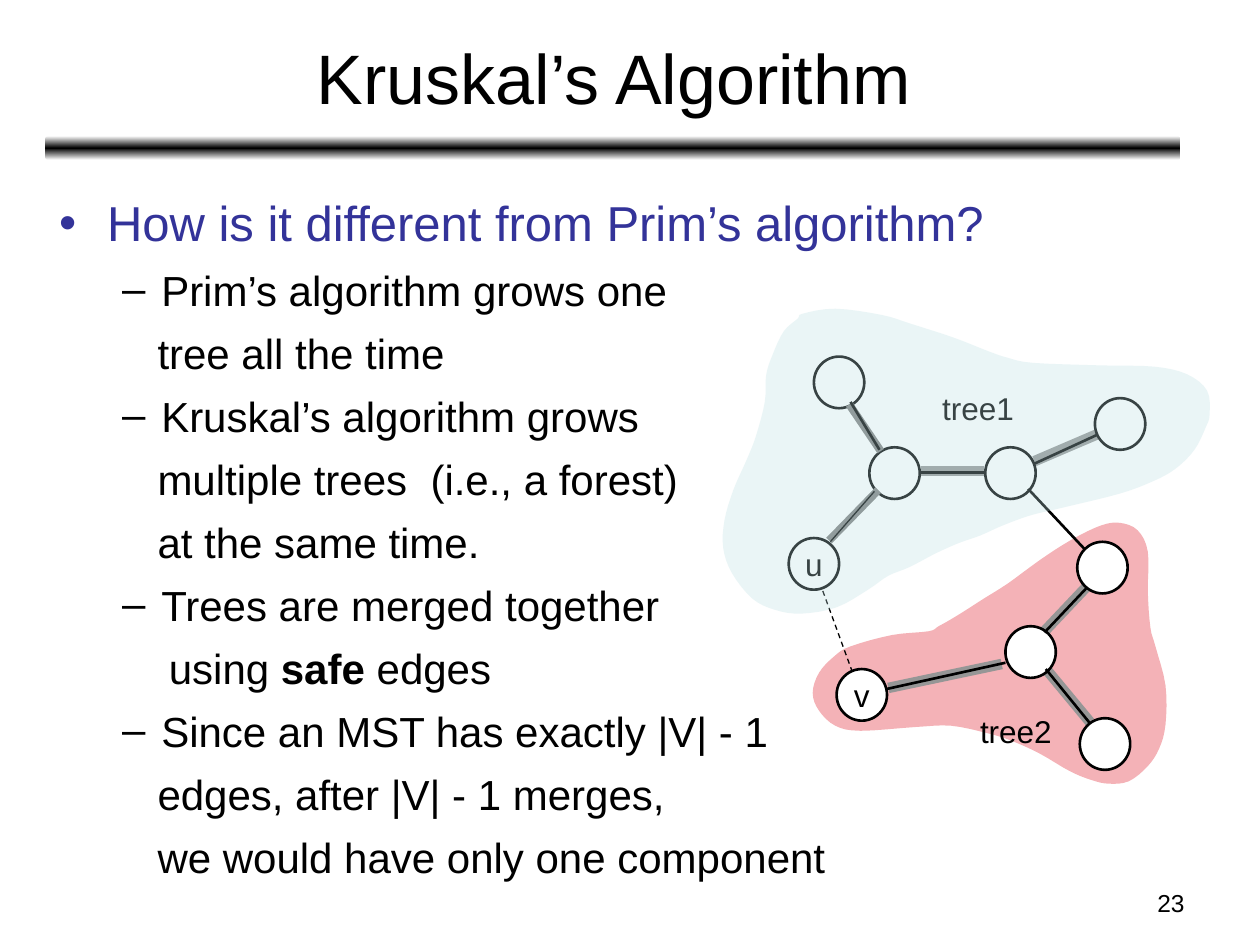
from copy import deepcopy

from lxml.etree import SubElement
from pptx import Presentation
from pptx.dml.color import RGBColor
from pptx.enum.dml import MSO_LINE_DASH_STYLE as Dash
from pptx.enum.shapes import MSO_CONNECTOR_TYPE as Connector, MSO_SHAPE as Shape
from pptx.enum.text import MSO_ANCHOR as Anchor, MSO_AUTO_SIZE as AutoSize, PP_ALIGN as Align
from pptx.oxml.ns import qn
from pptx.util import Cm, Pt

COLORS = {
    "white": "FFFFFF", "black": "000000", "heading": "333399",
    "light_gray": "969696", "gray": "808080", "tree1": "BBE0E3", "tree2": "DD0111",
}
NODE_SIZE = (0.4, 0.41)

# Body lines: text, left indent, has a bullet
LINES = [
    ("Prim’s algorithm grows one", 0.81, True),
    ("tree all the time", 0.78, False),
    ("Kruskal’s algorithm grows", 0.81, True),
    ("multiple trees  (i.e., a forest)", 0.78, False),
    ("at the same time.", 0.78, False),
    ("Trees are merged together", 0.81, True),
    ("using *safe* edges", 0.87, False),
    ("Since an MST has exactly |V| - 1", 0.81, True),
    ("edges, after |V| - 1 merges,", 0.78, False),
    ("we would have only one component", 0.78, False),
]

# Top left corner and label of each node
NODES = [
    (6.26, 4.27, "u"), (6.9, 3.55, ""), (7.82, 3.55, ""), (8.69, 3.16, ""), (8.55, 4.3, ""),
    (6.46, 2.83, ""), (7.98, 4.97, ""), (8.57, 5.7, ""), (6.64, 5.31, "v"),
]

# Edges: start x, start y, end x, end y
WIDE_EDGES = [
    (7.31, 3.74, 7.81, 3.74), (8.21, 3.66, 8.7, 3.45), (7.05, 5.46, 7.95, 5.27),
    (8.29, 5.01, 8.64, 4.64), (8.31, 5.32, 8.65, 5.73),
]
MEDIUM_EDGES = [(6.58, 4.29, 6.97, 3.89), (6.74, 3.21, 6.99, 3.58)]
THIN_EDGES = [
    (7.3, 3.75, 7.82, 3.75), (8.21, 3.68, 8.71, 3.45), (8.16, 3.88, 8.61, 4.36),
    (7.03, 5.47, 7.98, 5.26), (8.29, 5.02, 8.63, 4.66), (8.3, 5.31, 8.65, 5.74),
    (6.75, 3.19, 6.98, 3.57),
]

TREE1_OUTLINE = [
    (6.33, 2.53), (6.22, 2.63), (6.13, 2.82), (6.08, 2.98), (6.07, 3.19), (6, 3.46),
    (5.93, 3.64), (5.82, 3.89), (5.75, 4.13), (5.74, 4.35), (5.81, 4.55), (5.97, 4.75),
    (6.15, 4.84), (6.36, 4.87), (6.64, 4.82), (6.89, 4.68), (7.05, 4.57), (7.22, 4.5),
    (7.43, 4.39), (7.61, 4.31), (7.78, 4.25), (7.96, 4.17), (8.18, 4.09), (8.43, 4.03),
    (8.88, 3.92), (9.15, 3.82), (9.33, 3.72), (9.48, 3.57), (9.57, 3.39), (9.6, 3.29),
    (9.58, 3.1), (9.42, 2.97), (9.16, 2.91), (8.74, 2.9), (8.2, 2.88), (8, 2.84),
    (7.85, 2.79), (7.57, 2.68), (7.23, 2.57), (7, 2.5), (6.63, 2.45), (6.37, 2.49),
]
TREE2_OUTLINE = [
    (7.37, 5.01), (7.08, 5.04), (6.75, 5.13), (6.62, 5.21), (6.5, 5.34), (6.45, 5.5),
    (6.5, 5.64), (6.63, 5.76), (6.83, 5.8), (7.27, 5.77), (7.55, 5.76), (7.84, 5.82),
    (8.03, 5.88), (8.25, 5.98), (8.49, 6.12), (8.66, 6.19), (8.8, 6.22), (8.96, 6.2),
    (9.11, 6.08), (9.2, 5.94), (9.25, 5.75), (9.25, 5.44), (9.17, 5.13), (9.13, 4.98),
    (9.11, 4.7), (9.11, 4.38), (9.03, 4.21), (8.89, 4.15), (8.74, 4.17), (8.51, 4.28),
    (8.26, 4.44), (8, 4.63), (7.81, 4.75), (7.59, 4.89), (7.45, 4.97),
]


def length(inches):
    return Cm(inches * 2.54)


def color(name):
    return RGBColor.from_string(COLORS[name])


def smooth_outline(points, steps=4):
    """Closed Catmull-Rom curve through the points."""
    def blend(a, b, c, d, t):
        return (2 * b + (c - a) * t + (2 * a - 5 * b + 4 * c - d) * t ** 2
                + (3 * b - a - 3 * c + d) * t ** 3) / 2

    count = len(points)
    curve = []
    for index in range(count):
        near = [points[(index + offset) % count] for offset in (-1, 0, 1, 2)]
        for step in range(steps):
            curve.append(tuple(length(blend(*axis, step / steps)) for axis in zip(*near)))
    return curve


class SlideWriter:
    font = "Arial"

    def __init__(self, slide):
        self.slide = slide

    def place(self, shape, box):
        shape.left, shape.top, shape.width, shape.height = map(length, box)

    def style(self, paragraph, size, name="black", align=Align.LEFT):
        paragraph.alignment = align
        for run in paragraph.runs:
            run.font.name, run.font.size = self.font, Pt(size)
            run.font.color.rgb = color(name)

    def title(self, text, box):
        shape = self.slide.shapes.title
        self.place(shape, box)
        shape.text_frame.text = text
        shape.text_frame.auto_size = AutoSize.NONE
        shape.text_frame.vertical_anchor = Anchor.MIDDLE
        self.style(shape.text_frame.paragraphs[0], 40, align=Align.CENTER)

    def indent(self, paragraph, left, hanging, bullet, name):
        properties = paragraph._p.get_or_add_pPr()
        properties.set("marL", str(length(left)))
        properties.set("indent", str(-length(hanging)))
        if not bullet:
            SubElement(properties, qn("a:buNone"))
            return
        bullet_color = SubElement(properties, qn("a:buClr"))
        SubElement(bullet_color, qn("a:srgbClr"), val=COLORS[name])
        SubElement(properties, qn("a:buFont"), typeface=self.font)
        SubElement(properties, qn("a:buChar"), char=bullet)

    def body(self, heading, lines, box):
        shape = self.slide.placeholders[1]
        self.place(shape, box)
        frame = shape.text_frame
        frame.text = heading
        frame.auto_size = AutoSize.NONE
        first = frame.paragraphs[0]
        first.space_before = Pt(8.4)
        self.indent(first, 0.38, 0.38, "•", "heading")
        self.style(first, 28, "heading")
        for text, left, bulleted in lines:
            paragraph = frame.add_paragraph()
            paragraph.level = 1
            paragraph.space_before = Pt(7.2)
            self.indent(paragraph, left, 0.31 if bulleted else 0, "–" if bulleted else None, "black")
            for index, part in enumerate(text.split("*")):
                run = paragraph.add_run()
                run.text = part
                run.font.bold = index % 2 == 1
            self.style(paragraph, 24)

    def text(self, text, box, size, align=Align.LEFT, wrap=False):
        shape = self.slide.shapes.add_textbox(*map(length, box))
        shape.text_frame.text = text
        shape.text_frame.word_wrap = wrap
        self.style(shape.text_frame.paragraphs[0], size, align=align)

    def gradient_bar(self, box):
        shape = self.slide.shapes.add_shape(Shape.ROUNDED_RECTANGLE, *map(length, box))
        shape.shadow.inherit = False
        shape.line.fill.background()
        shape.fill.gradient()
        shape.fill.gradient_angle = 90
        stops = shape._element.spPr.find(".//" + qn("a:gsLst"))
        stops.append(deepcopy(stops[-1]))
        for stop, position, name in zip(shape.fill.gradient_stops, (0, 0.5, 1), ("white", "black", "white")):
            stop.position = position
            stop.color.rgb = color(name)

    def region(self, points, name):
        start, *rest = smooth_outline(points)
        builder = self.slide.shapes.build_freeform(*start)
        builder.add_line_segments(rest, close=True)
        shape = builder.convert_to_shape()
        shape.shadow.inherit = False
        shape.line.fill.background()
        shape.fill.solid()
        shape.fill.fore_color.rgb = color(name)
        SubElement(shape._element.spPr.find(".//" + qn("a:srgbClr")), qn("a:alpha"), val="30000")

    def edge(self, ends, name="black", width=1.5, dash=None):
        line = self.slide.shapes.add_connector(Connector.STRAIGHT, *map(length, ends))
        line.line.color.rgb = color(name)
        line.line.width = Pt(width)
        if dash:
            line.line.dash_style = dash
        SubElement(line._element.spPr, qn("a:effectLst"))

    def node(self, left, top, label):
        shape = self.slide.shapes.add_shape(Shape.OVAL, *map(length, (left, top, *NODE_SIZE)))
        shape.shadow.inherit = False
        shape.fill.solid()
        shape.fill.fore_color.rgb = color("white")
        shape.line.color.rgb = color("black")
        shape.line.width = Pt(1.5)
        if label:
            shape.text_frame.text = label
            shape.text_frame.word_wrap = False
            self.style(shape.text_frame.paragraphs[0], 18, align=Align.CENTER)


def main():
    presentation = Presentation()
    presentation.slide_width, presentation.slide_height = length(10), length(7.5)
    writer = SlideWriter(presentation.slides.add_slide(presentation.slide_layouts[1]))

    # Title, rule, list and page number
    writer.gradient_bar((0.36, 1.08, 9.01, 0.19))
    writer.title("Kruskal’s Algorithm", (0.37, 0.11, 9, 0.99))
    writer.body("How is it different from Prim’s algorithm?", LINES, (0.37, 1.48, 9, 5.55))
    writer.text("23", (7.17, 7, 2.33, 0.35), 14, Align.RIGHT, wrap=True)

    # Forest: the first region lies over its tree, the second one below
    writer.region(TREE2_OUTLINE, "tree2")
    for ends in WIDE_EDGES:
        writer.edge(ends, "light_gray", 6)
    for node in NODES:
        writer.node(*node)
    for ends in MEDIUM_EDGES:
        writer.edge(ends, "gray", 4.5)
    for ends in THIN_EDGES:
        writer.edge(ends)
    writer.edge((6.59, 4.3, 6.94, 3.9), width=0.75)
    writer.edge((6.53, 4.69, 6.76, 5.32), width=0.75, dash=Dash.DASH)
    writer.text("tree1", (7.38, 3.04, 0.77, 0.4), 18)
    writer.text("tree2", (7.68, 5.6, 0.77, 0.4), 18)
    writer.region(TREE1_OUTLINE, "tree1")

    presentation.save("out.pptx")


if __name__ == "__main__":
    main()
